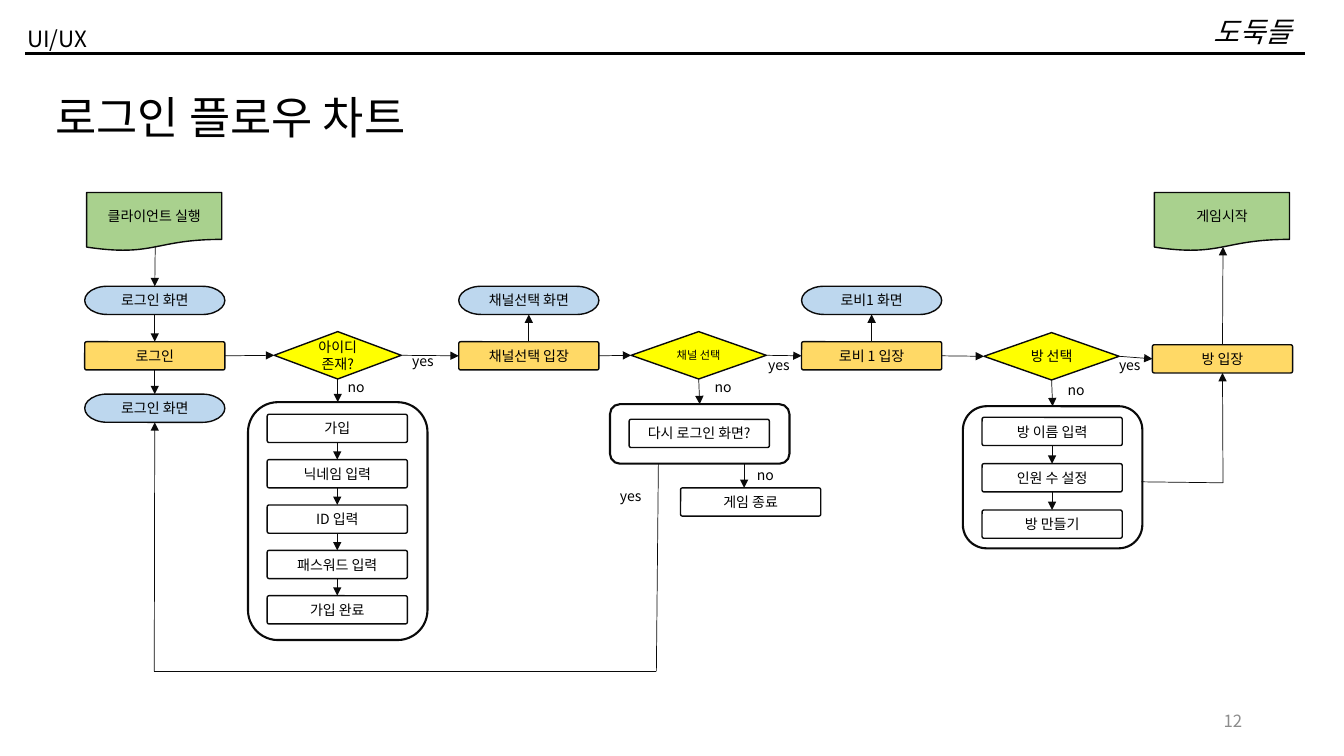
"""Build the login flow chart slide."""
from dataclasses import dataclass
from typing import NamedTuple

from lxml import etree
from pptx import Presentation
from pptx.dml.color import RGBColor
from pptx.enum.shapes import MSO_CONNECTOR, MSO_SHAPE
from pptx.enum.text import MSO_ANCHOR, MSO_AUTO_SIZE, PP_ALIGN
from pptx.oxml.ns import qn
from pptx.util import Emu, Pt

STRAIGHT = MSO_CONNECTOR.STRAIGHT
ROUNDED = MSO_SHAPE.ROUNDED_RECTANGLE
TERMINATOR = MSO_SHAPE.FLOWCHART_TERMINATOR
DECISION = MSO_SHAPE.FLOWCHART_DECISION
DOCUMENT = MSO_SHAPE.FLOWCHART_DOCUMENT
TOP, MIDDLE, BOTTOM_ANCHOR = MSO_ANCHOR.TOP, MSO_ANCHOR.MIDDLE, MSO_ANCHOR.BOTTOM
LEFT_ALIGN, CENTER, RIGHT_ALIGN, JUSTIFY = PP_ALIGN.LEFT, PP_ALIGN.CENTER, PP_ALIGN.RIGHT, PP_ALIGN.JUSTIFY
GROW = MSO_AUTO_SIZE.SHAPE_TO_FIT_TEXT
NORTH, WEST, SOUTH, EAST = range(4)
EMU_PER_PX = 9144
TITLE_ONLY = 5


@dataclass(frozen=True)
class Theme:
    """Fonts, colours, type sizes and line widths."""
    font: str = "Noto Sans CJK KR"
    text: str = "000000"
    line: str = "0A0A0A"
    muted: str = "8C8C8C"
    screen: str = "BDD7EE"
    action: str = "FFD966"
    choice: str = "FFFF00"
    document: str = "A9D18E"
    title_size: int = 32
    brand_size: int = 20
    section_size: int = 16
    number_size: int = 12
    node_size: int = 10
    small_size: int = 8
    rule_width: float = 1.75
    group_width: float = 1.5
    node_width: float = 1
    link_width: float = 0.5


THEME = Theme()


@dataclass(frozen=True)
class Style:
    """Outline, size and colours shared by nodes of one kind."""
    shape: int
    width: int
    height: int
    fill: str | None = None
    corner: float | None = None


@dataclass(frozen=True)
class Node:
    """One labelled step of the flow."""
    name: str
    style: Style
    left: int
    top: int
    text: str
    size: int = THEME.node_size


class Area(NamedTuple):
    left: int
    top: int
    width: int
    height: int


class Point(NamedTuple):
    x: int
    y: int


class Port(NamedTuple):
    name: str
    side: int


class Link(NamedTuple):
    start: Point | Port
    end: Point | Port
    arrow: bool = True


SCREEN = Style(TERMINATOR, 139, 28, THEME.screen)
ACTION = Style(ROUNDED, 139, 28, THEME.action, 0.067)
STEP = Style(ROUNDED, 139, 28, None, 0.067)
CHOICE = Style(DECISION, 134, 47, THEME.choice)
NARROW_CHOICE = Style(DECISION, 126, 47, THEME.choice)
PAPER = Style(DOCUMENT, 134, 58, THEME.document)

GROUPS = {
    "signup": Area(246, 399, 178, 236),
    "retry": Area(605, 401, 178, 59),
    "room": Area(955, 403, 178, 141),
}


def stack(group: str, left: int, top: int, pitch: int, texts: list[str]) -> list[Node]:
    """Return evenly spaced steps for one group."""
    return [Node(f"{group} {index}", STEP, left, top + index * pitch, text)
            for index, text in enumerate(texts)]


SIGNUP_STEPS = stack("signup", 265, 411, 45, ["가입", "닉네임 입력", "ID 입력", "패스워드 입력", "가입 완료"])
ROOM_STEPS = stack("room", 974, 414, 46, ["방 이름 입력", "인원 수 설정", "방 만들기"])

NODES = [
    Node("launch", PAPER, 86, 191, "클라이언트 실행"),
    Node("login screen", SCREEN, 84, 284, "로그인 화면"),
    Node("login", ACTION, 84, 339, "로그인"),
    Node("login return", SCREEN, 84, 391, "로그인 화면"),
    Node("id exists", NARROW_CHOICE, 272, 329, "아이디\n존재?"),
    Node("channel screen", SCREEN, 455, 284, "채널선택 화면"),
    Node("channel", ACTION, 455, 339, "채널선택 입장"),
    Node("channel choice", CHOICE, 626, 329, "채널 선택", THEME.small_size),
    Node("lobby screen", SCREEN, 795, 284, "로비1 화면"),
    Node("lobby", ACTION, 795, 339, "로비 1 입장"),
    Node("room choice", CHOICE, 976, 330, "방 선택"),
    Node("enter room", ACTION, 1143, 342, "방 입장"),
    Node("game start", PAPER, 1145, 191, "게임시작"),
    Node("login again", STEP, 624, 416, "다시 로그인 화면?"),
    Node("quit", STEP, 675, 484, "게임 종료"),
    *SIGNUP_STEPS,
    *ROOM_STEPS,
]

ROW = ["login", "id exists", "channel", "channel choice", "lobby", "room choice", "enter room"]
DOWNWARD = [("login screen", "login"), ("login", "login return"), ("id exists", "signup"),
            ("channel choice", "retry"), ("room choice", "room")]
DOWNWARD += [(upper.name, lower.name) for steps in (SIGNUP_STEPS, ROOM_STEPS)
             for upper, lower in zip(steps, steps[1:])]

LINKS = [
    *(Link(Port(start, EAST), Port(end, WEST)) for start, end in zip(ROW, ROW[1:])),
    *(Link(Port(start, SOUTH), Port(end, NORTH)) for start, end in DOWNWARD),
    *(Link(Port(name, NORTH), Port(f"{name} screen", SOUTH)) for name in ("channel", "lobby")),
    Link(Point(154, 244), Port("login screen", NORTH)),
    Link(Port("enter room", NORTH), Point(1213, 245)),
    Link(Point(1132, 478), Point(1213, 479), False),
    Link(Point(1213, 479), Port("enter room", SOUTH)),
    Link(Point(653, 460), Point(651, 666), False),
    Link(Point(651, 666), Point(153, 666), False),
    Link(Point(153, 666), Port("login return", SOUTH)),
    Link(Point(738, 460), Point(738, 484)),
]

ANSWERS = {
    "yes": (42, [Point(399, 345), Point(752, 349), Point(1100, 349), Point(605, 479)]),
    "no": (37, [Point(335, 371), Point(699, 371), Point(1049, 374), Point(741, 458)]),
}


def px(value: int) -> Emu:
    """Turn px into EMU."""
    return Emu(value * EMU_PER_PX)


def write(box, text: str, *, size: int, color: str = THEME.text, align=LEFT_ALIGN, anchor=TOP,
          italic: bool = False, wrap: bool = True, grow: bool = False, spacing: float = 1) -> None:
    """Fill a box with formatted text."""
    frame = box.text_frame
    frame.word_wrap, frame.vertical_anchor = wrap, anchor
    frame.auto_size = GROW if grow else MSO_AUTO_SIZE.NONE
    para = frame.paragraphs[0]
    para.text, para.alignment, para.line_spacing = text, align, spacing
    for span in para.runs:
        span.font.size, span.font.italic = Pt(size), italic
        span.font.color.rgb = RGBColor.from_string(color)
        span.font.name = THEME.font
        etree.SubElement(span.font._element, qn("a:ea"), typeface=THEME.font)


def add_text(page, area: Area, text: str, **style) -> None:
    """Add a text box."""
    write(page.shapes.add_textbox(*map(px, area)), text, **style)


def add_box(page, shape: int, area: Area, width: float, fill: str | None = None):
    """Add an outlined shape."""
    box = page.shapes.add_shape(shape, *map(px, area))
    box.shadow.inherit = False
    box.line.color.rgb, box.line.width = RGBColor.from_string(THEME.line), Pt(width)
    if fill:
        box.fill.solid()
        box.fill.fore_color.rgb = RGBColor.from_string(fill)
    else:
        box.fill.background()
    return box


def add_node(page, node: Node):
    """Add one flow step with centred text."""
    style = node.style
    box = add_box(page, style.shape, Area(node.left, node.top, style.width, style.height),
                  THEME.node_width, style.fill)
    if style.corner is not None:
        box.adjustments[0] = style.corner
    frame = box.text_frame
    frame.margin_left = frame.margin_right = frame.margin_top = frame.margin_bottom = 0
    write(box, node.text, size=node.size, align=CENTER, anchor=MIDDLE, wrap=False)
    return box


def add_link(page, link: Link, boxes: dict, color: str = THEME.line, width: float = THEME.link_width) -> None:
    """Add a straight line, joined to boxes at its ports."""
    start, end = ((0, 0) if isinstance(tip, Port) else tip for tip in (link.start, link.end))
    line = page.shapes.add_connector(STRAIGHT, *map(px, (*start, *end)))
    if isinstance(link.start, Port):
        line.begin_connect(boxes[link.start.name], link.start.side)
    if isinstance(link.end, Port):
        line.end_connect(boxes[link.end.name], link.end.side)
    line.line.color.rgb, line.line.width = RGBColor.from_string(color), Pt(width)
    if link.arrow:
        etree.SubElement(line.line._get_or_add_ln(), qn("a:tailEnd"), type="triangle")
    etree.SubElement(line._element.spPr, qn("a:effectLst"))


def add_header(page) -> None:
    """Add the title, the header band and the page number."""
    title = page.shapes.title
    title.left, title.top, title.width, title.height = map(px, Area(45, 84, 408, 64))
    write(title, "로그인 플로우 차트", size=THEME.title_size, align=JUSTIFY, grow=True)
    add_link(page, Link(Point(25, 53), Point(1294, 53), False), {}, THEME.text, THEME.rule_width)
    add_text(page, Area(17, 20, 84, 37), "UI/UX", size=THEME.section_size, wrap=False, grow=True)
    add_text(page, Area(1182, 13, 120, 40), "도둑들", size=THEME.brand_size, align=CENTER,
             anchor=BOTTOM_ANCHOR, italic=True, spacing=0.9)
    add_text(page, Area(942, 695, 300, 40), "12", size=THEME.number_size, color=THEME.muted,
             align=RIGHT_ALIGN, anchor=MIDDLE)


def main() -> None:
    """Build and save the deck."""
    deck = Presentation()
    deck.slide_width, deck.slide_height = px(1333), px(750)
    page = deck.slides.add_slide(deck.slide_layouts[TITLE_ONLY])
    add_header(page)
    boxes = {name: add_box(page, ROUNDED, area, THEME.group_width) for name, area in GROUPS.items()}
    boxes |= {node.name: add_node(page, node) for node in NODES}
    for link in LINKS:
        add_link(page, link, boxes)
    for answer, (width, places) in ANSWERS.items():
        for place in places:
            add_text(page, Area(*place, width, 27), answer, size=THEME.node_size, wrap=False, grow=True)
    deck.save("out.pptx")


if __name__ == "__main__":
    main()
